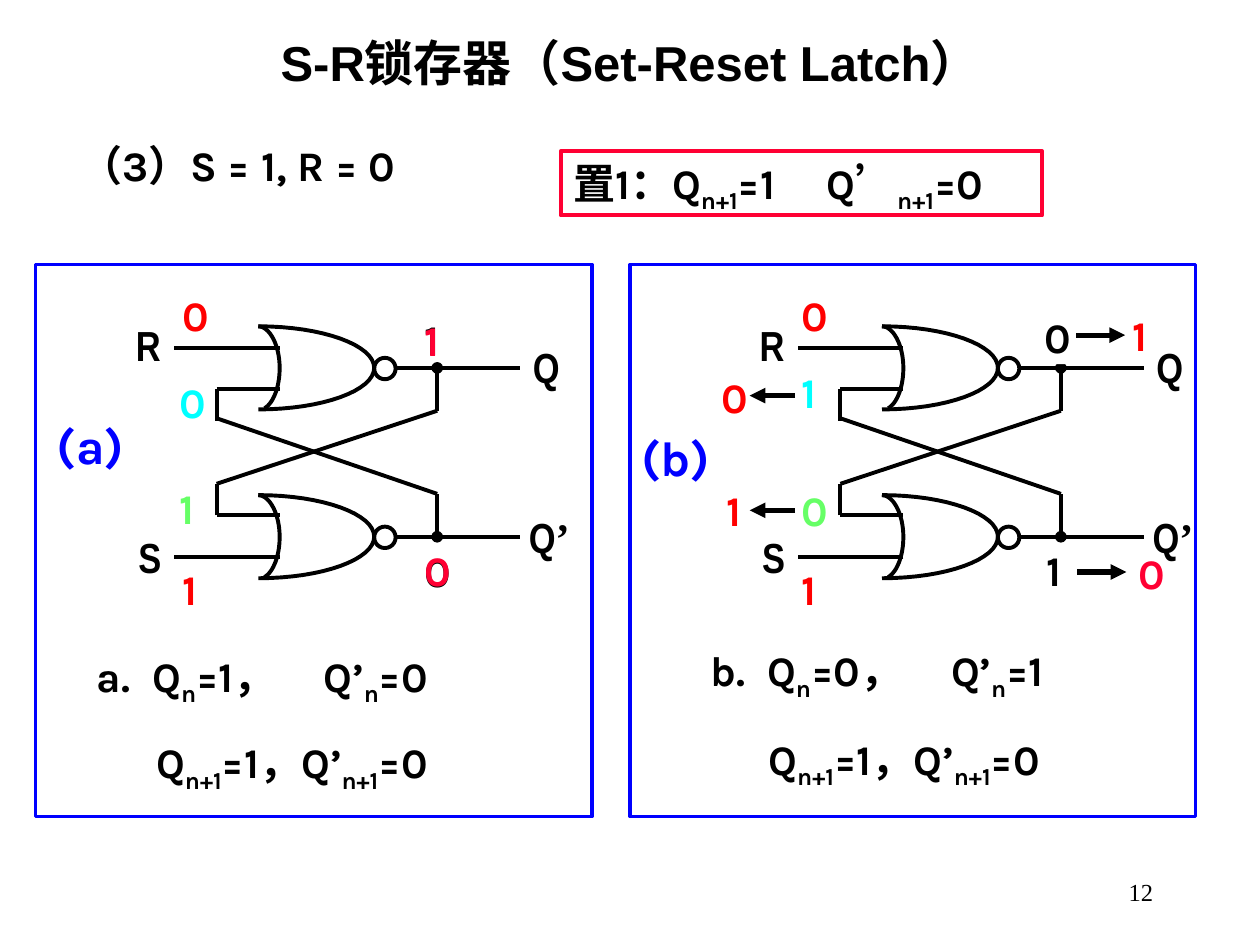
from lxml import etree
from pptx import Presentation
from pptx import util as u
from pptx.dml.color import RGBColor
from pptx.enum import shapes, text
from pptx.oxml.ns import qn

BLACK, WHITE, RED, CRIMSON = "000000", "FFFFFF", "FF0000", "FF0033"
BLUE, CYAN, GREEN = "0000FF", "00FFFF", "66FF66"
KARLA, NARROW, TIMES = "Karla", "Arial Narrow", "Times New Roman"
PANEL_STEP = 4.95
GATE_CENTRES = (2.92, 4.26)


def color(value):
    return RGBColor.from_string(value)


def bezier(points, steps=16):
    """Return points along a cubic curve given by its four control points."""
    weights = [((1 - t) ** 3, 3 * t * (1 - t) ** 2, 3 * t * t * (1 - t), t ** 3)
               for t in (i / steps for i in range(steps + 1))]
    return [tuple(sum(w * p[axis] for w, p in zip(row, points)) for axis in (0, 1))
            for row in weights]


def equation(*parts):
    """Turn alternating normal and subscript strings into runs."""
    return [(part, KARLA, index % 2 == 1) for index, part in enumerate(parts)]


class LatchSlide:
    line_width = 2.25
    text_size = 24

    def __init__(self, presentation):
        self.slide = presentation.slides.add_slide(presentation.slide_layouts[5])
        self.shapes = self.slide.shapes

    def add_text(self, shape, runs, size=None, fill=BLACK, bold=True, wrap=False,
                 align=text.PP_ALIGN.LEFT, anchor=text.MSO_ANCHOR.TOP, tabs=()):
        frame = shape.text_frame
        frame.word_wrap = wrap
        frame.auto_size = text.MSO_AUTO_SIZE.NONE
        frame.vertical_anchor = anchor
        paragraph = frame.paragraphs[0]
        paragraph.alignment = align
        if tabs:
            tab_list = etree.SubElement(paragraph._p.get_or_add_pPr(), qn("a:tabLst"))
            for position in tabs:
                etree.SubElement(tab_list, qn("a:tab"), pos=str(u.Inches(position)), algn="l")
        for words, font, subscript in runs:
            run = paragraph.add_run()
            run.text = words
            run.font.name = font
            run.font.size = u.Pt(size or self.text_size)
            run.font.bold = bold
            run.font.color.rgb = color(fill)
            if subscript:
                run.font._element.set("baseline", "-25000")

    def title(self, words):
        title = self.shapes.title
        title.left, title.top = u.Inches(0), u.Inches(0.21)
        title.width, title.height = u.Inches(10), u.Inches(0.57)
        self.add_text(title, [(words, "Arial", False)], 28, wrap=True,
                      align=text.PP_ALIGN.CENTER)

    def label(self, left, top, runs, width=0.41, height=0.5, font=KARLA, **style):
        if isinstance(runs, str):
            runs = [(runs, font, False)]
        box = self.shapes.add_textbox(*map(u.Inches, (left, top, width, height)))
        self.add_text(box, runs, **style)

    def outline(self, shape, line, fill=None, width=None):
        shape.shadow.inherit = False
        if fill:
            shape.fill.solid()
            shape.fill.fore_color.rgb = color(fill)
        else:
            shape.fill.background()
        if line:
            shape.line.color.rgb = color(line)
            shape.line.width = u.Pt(width or self.line_width)
        else:
            shape.line.fill.background()

    def shape(self, kind, left, top, width, height, line, fill=None, line_width=None):
        shape = self.shapes.add_shape(kind, *map(u.Inches, (left, top, width, height)))
        self.outline(shape, line, fill, line_width)
        return shape

    def curve(self, points):
        points = [(u.Inches(x), u.Inches(y)) for x, y in points]
        builder = self.shapes.build_freeform(*points[0])
        builder.add_line_segments(points[1:], close=False)
        self.outline(builder.convert_to_shape(), BLACK)

    def wire(self, x1, y1, x2, y2, head=None, tail=None, width=None):
        wire = self.shapes.add_connector(shapes.MSO_CONNECTOR.STRAIGHT,
                                         *map(u.Inches, (x1, y1, x2, y2)))
        wire.line.color.rgb = color(BLACK)
        wire.line.width = u.Pt(width or self.line_width)
        line = wire.line._get_or_add_ln()
        for tag, end in (("a:headEnd", head), ("a:tailEnd", tail)):
            if end:
                etree.SubElement(line, qn(tag), type=end)
        etree.SubElement(wire._element.spPr, qn("a:effectLst"))

    def nor_gate(self, left, centre):
        for side in (-1, 1):
            edge = centre + side * 0.33
            self.curve(bezier([(left, edge), (left + 0.51, edge),
                               (left + 0.92, centre + side * 0.18), (left + 0.92, centre)]))
        upper = bezier([(left, centre - 0.33), (left + 0.09, centre - 0.33),
                        (left + 0.17, centre - 0.18), (left + 0.17, centre)])
        lower = bezier([(left + 0.17, centre), (left + 0.17, centre + 0.15),
                        (left + 0.12, centre + 0.28), (left + 0.05, centre + 0.32)])
        self.curve(upper + lower[1:])
        self.shape(shapes.MSO_SHAPE.OVAL, left + 0.92, centre - 0.08, 0.17, 0.17, BLACK)

    def latch(self, x):
        """Draw two cross-coupled NOR gates with their terminals, shifted right by x."""
        top, bottom = GATE_CENTRES
        for centre, outward in ((top, -1), (bottom, 1)):
            self.nor_gate(x + 2.05, centre)
            outer, inner = centre + outward * 0.16, centre - outward * 0.17
            self.wire(x + 2.22, outer, x + 1.38, outer)
            self.wire(x + 1.72, inner, x + 2.22, inner)
            self.wire(x + 3.13, centre, x + 4.13, centre)
            self.wire(x + 3.47, centre, x + 3.47, centre - outward * 0.34, head="oval")
            self.wire(x + 1.72, inner, x + 1.72, inner - outward * 0.25)
        self.wire(x + 1.72, 3.32, x + 3.47, 3.92)
        self.wire(x + 1.72, 3.84, x + 3.47, 3.26)
        self.label(x + 4.13, 2.66, "Q", font=NARROW)
        self.label(x + 4.1, 4.01, [("Q", NARROW, False), ("’", TIMES, False)], 0.53)
        self.label(x + 0.98, 2.49, "R", 0.4, font=NARROW)
        self.label(x + 1, 4.17, "S", 0.38, font=NARROW)


def main():
    presentation = Presentation()
    presentation.slide_width, presentation.slide_height = u.Inches(10), u.Inches(7.5)
    slide = LatchSlide(presentation)
    rectangle = shapes.MSO_SHAPE.RECTANGLE

    slide.title("S-R锁存器（Set-Reset Latch）")
    slide.label(0.54, 1.06, "（3）S = 1, R = 0", 3.1)
    result = slide.shape(rectangle, 4.45, 1.2, 3.82, 0.51, CRIMSON, WHITE)
    slide.add_text(result, [("置1", KARLA, False), ("：", NARROW, False)]
                   + equation("Q", "n+1", "=1\tQ’", "n+1", "=0"), tabs=[2.01])

    for x in (0, PANEL_STEP):
        slide.latch(x)

    previous_and_next = (
        (0.67, 5.11, "a.", "1", "0", (0.44, 1.8), 1.14, 5.8),
        (5.54, 5.07, "b.", "0", "1", (0.45, 1.91), 6, 5.77),
    )
    for left, top, item, q, q_bar, tabs, next_left, next_top in previous_and_next:
        slide.label(left, top, equation(f"{item}\tQ", "n", f"={q}，\tQ’", "n", f"={q_bar}"),
                    3.23, wrap=True, tabs=tabs)
        slide.label(next_left, next_top,
                    equation("Q", "n+1", "=1，Q’", "n+1", "=0"), 3.09)

    slide.label(0.35, 3.25, "(a)", 0.79, 0.57, size=28, fill=BLUE)
    slide.label(4.99, 3.34, "(b)", 0.8, 0.57, size=28, fill=BLUE)

    old_q = slide.shape(rectangle, 8.23, 2.46, 0.39, 0.43, None, WHITE)
    frame = old_q.text_frame
    frame.margin_left = frame.margin_right = u.Inches(0.06)
    frame.margin_top = frame.margin_bottom = u.Inches(0.01)
    slide.add_text(old_q, equation("0"), wrap=True)

    signal_values = (
        (1.35, 2.25, "0", RED), (1.35, 4.42, "1", RED),
        (1.33, 2.94, "0", CYAN), (1.33, 3.78, "1", GREEN),
        (3.27, 2.44, "1", BLACK), (3.27, 2.45, "1", CRIMSON),
        (3.27, 4.28, "0", BLACK), (3.27, 4.27, "0", CRIMSON),
        (6.26, 2.25, "0", RED), (6.26, 4.42, "1", RED),
        (6.26, 2.86, "1", CYAN), (6.26, 3.8, "0", GREEN),
        (5.63, 2.9, "0", RED), (5.67, 3.8, "1", RED),
        (8.89, 2.41, "1", RED), (8.94, 4.3, "0", CRIMSON),
        (8.21, 4.27, "1", BLACK),
    )
    for left, top, value, fill in signal_values:
        slide.label(left, top, value, fill=fill, wrap=True)

    for x1, x2, y in ((8.54, 8.93, 2.66), (8.55, 8.94, 4.54),
                      (6.31, 5.95, 3.14), (6.31, 5.95, 4.05)):
        slide.wire(x1, y, x2, y, tail="triangle", width=3)

    for left, width in ((0.28, 4.42), (5, 4.49)):
        slide.shape(rectangle, left, 2.1, width, 4.38, BLUE, line_width=2)

    slide.label(7.17, 6.83, "12", 2.08, font=TIMES, size=14, bold=False, wrap=True,
                align=text.PP_ALIGN.RIGHT, anchor=text.MSO_ANCHOR.MIDDLE)
    presentation.save("out.pptx")


if __name__ == "__main__":
    main()
